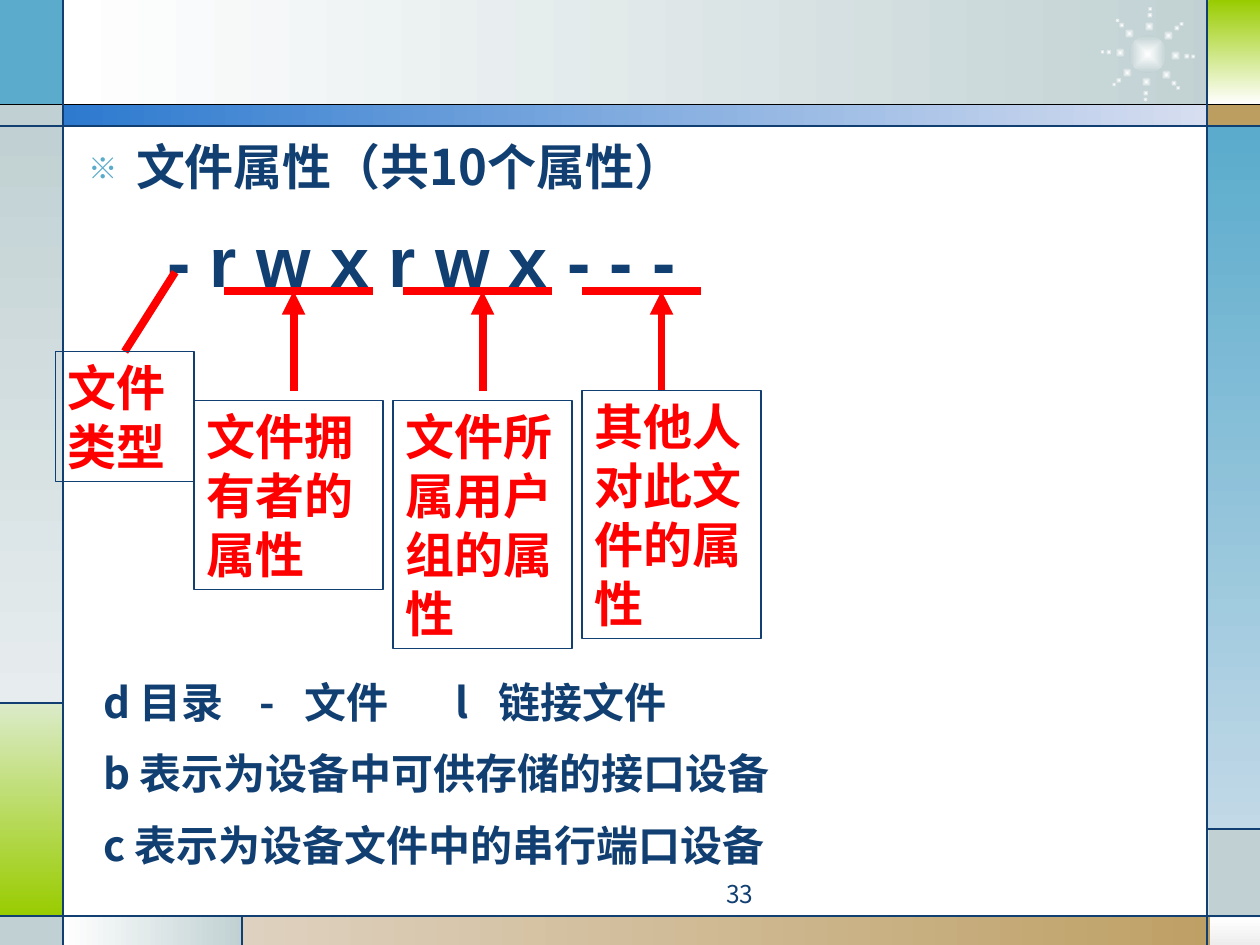
from math import cos, radians, sin

from lxml.etree import SubElement
from pptx import Presentation
from pptx.dml.color import RGBColor
from pptx.enum.shapes import MSO_CONNECTOR as Conn, MSO_SHAPE as Shape
from pptx.enum.text import MSO_ANCHOR as Anchor, PP_ALIGN as Align
from pptx.oxml.ns import qn
from pptx.util import Cm, Pt

NAVY = RGBColor(0x11, 0x3F, 0x71)
RED = RGBColor(0xFF, 0, 0)
BLACK = RGBColor(0, 0, 0)
WHITE = RGBColor(0xFF, 0xFF, 0xFF)
SKY = RGBColor(0x5A, 0xAB, 0xCC)
PALE_SKY = RGBColor(0xC2, 0xD9, 0xE7)
GREY = RGBColor(0xC1, 0xD1, 0xD3)
PALE_GREY = RGBColor(0xE7, 0xED, 0xEE)
MIST = RGBColor(0xED, 0xED, 0xED)
LIME = RGBColor(0x99, 0xCC, 0)
PALE_LIME = RGBColor(0xDB, 0xEB, 0xC9)
TAN = RGBColor(0xBD, 0x9E, 0x61)
PALE_TAN = RGBColor(0xDE, 0xD1, 0xBF)
BLUE = RGBColor(0x2D, 0x7A, 0xCF)
PALE_BLUE = RGBColor(0xD7, 0xDE, 0xF0)

CJK, LATIN = "Noto Sans CJK SC", "Arial"
UNIT = 2.54  # layout units below are 2.54 cm each
ACROSS, DOWN = 0, 270

HEADING = "文件属性（共10个属性）"
MODE = "- r w x r w x - - -"
NUMBER = "33"
LEGEND = ["d 目录\t-\t文件\tl\t链接文件",
          "b 表示为设备中可供存储的接口设备",
          "c 表示为设备文件中的串行端口设备"]
LEGEND_TABS = (1.24, 1.6, 2.8, 3.14)

# text, box (left, top, width, height), underline (from, to), arrow x
TYPE_BOX = ("文件类型", (0.44, 2.79, 1.1, 1.03))
GROUPS = [
    ("文件拥有者的属性", (1.54, 3.18, 1.5, 1.5), (1.78, 2.96), 2.33),
    ("文件所属用户组的属性", (3.12, 3.18, 1.42, 1.97), (3.2, 4.38), 3.83),
    ("其他人对此文件的属性", (4.62, 3.1, 1.42, 1.97), (4.62, 5.56), 5.25),
]
UNDERLINE_Y, ARROW_Y = 2.31, 3.1

# left, top, right, bottom, colours, gradient angle
PANELS = [
    (0.5, 0, 9.77, 0.84, (WHITE, GREY), ACROSS),
    (0, 0, 0.5, 0.83, (SKY,), None),
    (0, 0.83, 0.5, 1, (GREY,), None),
    (0, 1, 0.5, 5.58, (GREY, PALE_GREY), DOWN),
    (0, 5.58, 0.5, 7.27, (PALE_LIME, LIME), DOWN),
    (0, 7.27, 0.5, 7.5, (GREY,), None),
    (0.5, 7.27, 1.92, 7.5, (WHITE, GREY), ACROSS),
    (1.92, 7.27, 10, 7.5, (PALE_TAN, TAN), ACROSS),
    (9.6, 7.28, 10, 7.5, (WHITE, MIST), DOWN),
    (9.59, 6.58, 10, 7.28, (GREY,), None),
    (9.58, 1, 10, 6.58, (SKY, PALE_SKY), DOWN),
    (9.58, 0.83, 10, 1, (TAN,), None),
    (9.59, 0, 10, 0.83, (LIME, WHITE), DOWN),
    (0.5, 0.83, 9.59, 1, (BLUE, PALE_BLUE), ACROSS),
]
RULES = [(0, 0.83, 10, 0.83, BLACK)] + [(*ends, NAVY) for ends in (
    (0, 1, 10, 1), (0, 7.27, 10, 7.27), (0.5, 0, 0.5, 7.5),
    (9.58, 0, 9.58, 7.5), (0.5, 5.58, 0, 5.58),
    (1.92, 7.27, 1.92, 7.5), (9.58, 6.58, 10, 6.58))]
STAR_X, STAR_Y, STAR_SIZE = 9.11, 0.43, 0.3
STAR_DOTS = [(0.22, 0.08), (0.31, 0.05), (0.36, 0.04)]  # distance, size


def units(*values):
    """Turn layout units into lengths."""
    return [Cm(v * UNIT) for v in values]


def add_filled(kind, box, colours, angle=None, radial=False):
    """Add a borderless shape with a plain or gradient fill."""
    sp = slide.shapes.add_shape(kind, *units(*box))
    sp.shadow.inherit = False
    sp.line.fill.background()
    if len(colours) == 1:
        sp.fill.solid()
        sp.fill.fore_color.rgb = colours[0]
        return
    sp.fill.gradient()
    for stop, colour, pos in zip(sp.fill.gradient_stops, colours, (0, 1)):
        stop.color.rgb, stop.position = colour, pos
    if not radial:
        sp.fill.gradient_angle = angle
        return
    grad = sp._element.spPr.find(qn("a:gradFill"))
    grad.remove(grad.find(qn("a:lin")))
    centre = SubElement(grad, qn("a:path"), path="shape")
    SubElement(centre, qn("a:fillToRect"),
               {side: "50000" for side in "ltrb"})


def add_line(x1, y1, x2, y2, colour, width=0.75, arrow=False):
    """Add a straight line, with an arrowhead at its end if wanted."""
    line = slide.shapes.add_connector(Conn.STRAIGHT, *units(x1, y1, x2, y2))
    line.line.color.rgb, line.line.width = colour, Pt(width)
    if arrow:
        SubElement(line.line._get_or_add_ln(), qn("a:tailEnd"), type="triangle")
    SubElement(line._element.spPr, qn("a:effectLst"))


def write(tf, *lines, size, colour=NAVY, font=CJK, bold=True,
          align=Align.LEFT, leading=1.2):
    """Fill a text frame with one formatted paragraph per line."""
    tf.word_wrap, tf.vertical_anchor = True, Anchor.TOP
    for i, text in enumerate(lines):
        p = tf.paragraphs[0] if i == 0 else tf.add_paragraph()
        p.alignment, p.line_spacing = align, Pt(size * leading)
        p.space_before = Pt(size / 2 if i else 0)
        r = p.add_run()
        r.text = text
        f = r.font
        f.size, f.bold, f.name, f.color.rgb = Pt(size), bold, font, colour
        SubElement(r._r.get_or_add_rPr(), qn("a:ea"), typeface=CJK)


def add_text(box, *lines, **fmt):
    """Add a text box and return its text frame."""
    tf = slide.shapes.add_textbox(*units(*box)).text_frame
    write(tf, *lines, **fmt)
    return tf


def add_label(text, box):
    """Add an outlined box with red text."""
    sp = slide.shapes.add_shape(Shape.RECTANGLE, *units(*box))
    sp.shadow.inherit = False
    sp.fill.background()
    sp.line.color.rgb, sp.line.width = NAVY, Pt(0.75)
    write(sp.text_frame, text, size=28, colour=RED, font=LATIN)


def add_heading():
    """Place the body placeholder as a bulleted heading."""
    body = slide.placeholders[1]
    body.left, body.top, body.width, body.height = units(0.6, 0.92, 8.48, 0.78)
    write(body.text_frame, HEADING, size=28, leading=1.5)
    pPr = body.text_frame.paragraphs[0]._p.get_or_add_pPr()
    indent = Cm(0.38 * UNIT)
    pPr.set("marL", str(indent))
    pPr.set("indent", str(-indent))
    SubElement(SubElement(pPr, qn("a:buClr")), qn("a:srgbClr"), val=str(SKY))
    SubElement(pPr, qn("a:buSzPct"), val="60000")
    SubElement(pPr, qn("a:buFont"), typeface=CJK)
    SubElement(pPr, qn("a:buChar"), char="※")


prs = Presentation()
prs.slide_width, prs.slide_height = units(10, 7.5)
slide = prs.slides.add_slide(prs.slide_layouts[1])
title = slide.shapes.title._element
title.getparent().remove(title)

for x1, y1, x2, y2, colours, angle in PANELS:
    add_filled(Shape.RECTANGLE, (x1, y1, x2 - x1, y2 - y1), colours, angle)
dots = [(0, 0, STAR_SIZE)] + [
    (d * cos(radians(a)), d * sin(radians(a)), size)
    for a in range(3, 360, 45) for d, size in STAR_DOTS]
for dx, dy, size in dots:
    box = (STAR_X + dx - size / 2, STAR_Y + dy - size / 2, size, size)
    add_filled(Shape.OVAL, box, (WHITE, GREY), radial=True)
for rule in RULES:
    add_line(*rule)

add_heading()
add_text((3.75, 6.93, 2.33, 0.27), NUMBER, size=14, bold=False,
         align=Align.RIGHT)
add_text((1.23, 1.68, 6.54, 0.77), MODE, size=40, font=LATIN)
add_line(1.39, 2.16, 0.99, 2.79, RED, 4.5)
add_label(*TYPE_BOX)
for text, box, (start, end), x in GROUPS:
    add_line(start, UNDERLINE_Y, end, UNDERLINE_Y, RED, 4.5)
    add_line(x, ARROW_Y, x, UNDERLINE_Y, RED, 4.5, arrow=True)
    add_label(text, box)

legend = add_text((0.72, 5.32, 6.38, 1.72), *LEGEND, size=24)
tabs = SubElement(legend.paragraphs[0]._p.get_or_add_pPr(), qn("a:tabLst"))
for pos in LEGEND_TABS:
    SubElement(tabs, qn("a:tab"), pos=str(Cm(pos * UNIT)), algn="l")

prs.save("out.pptx")
